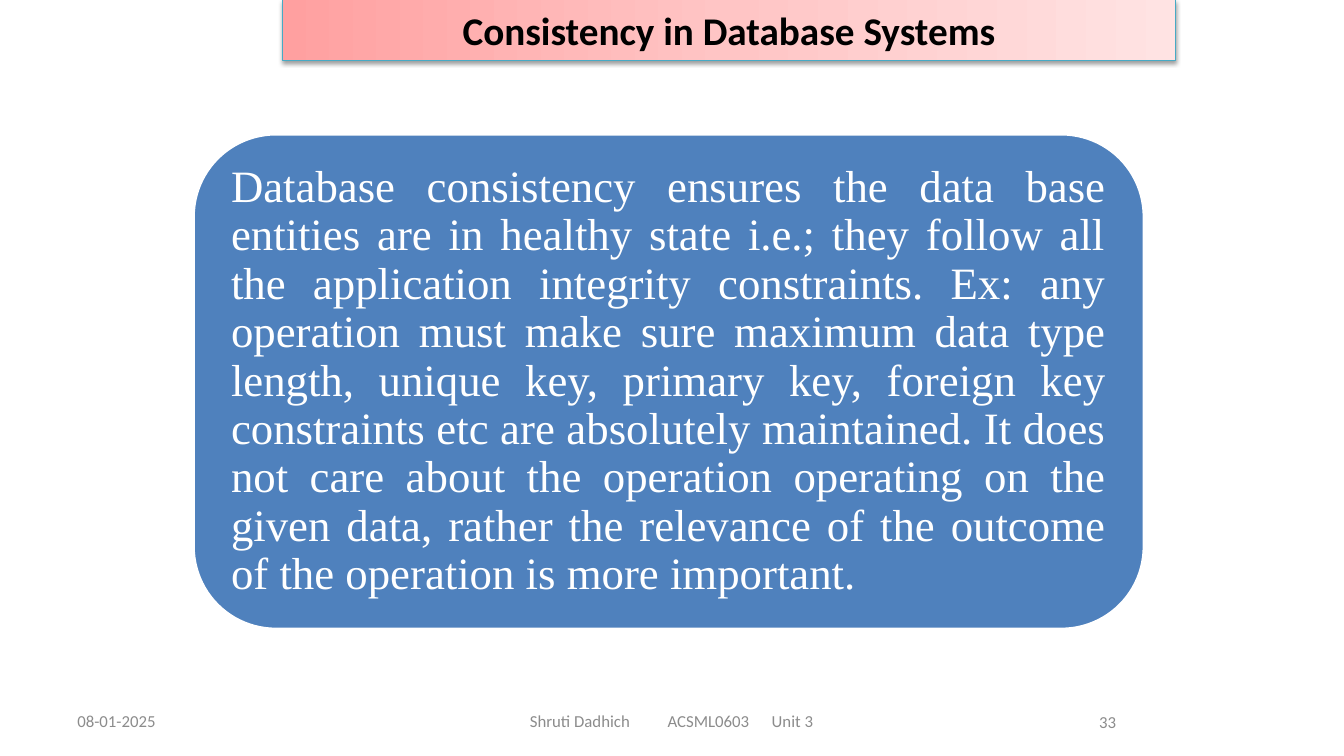
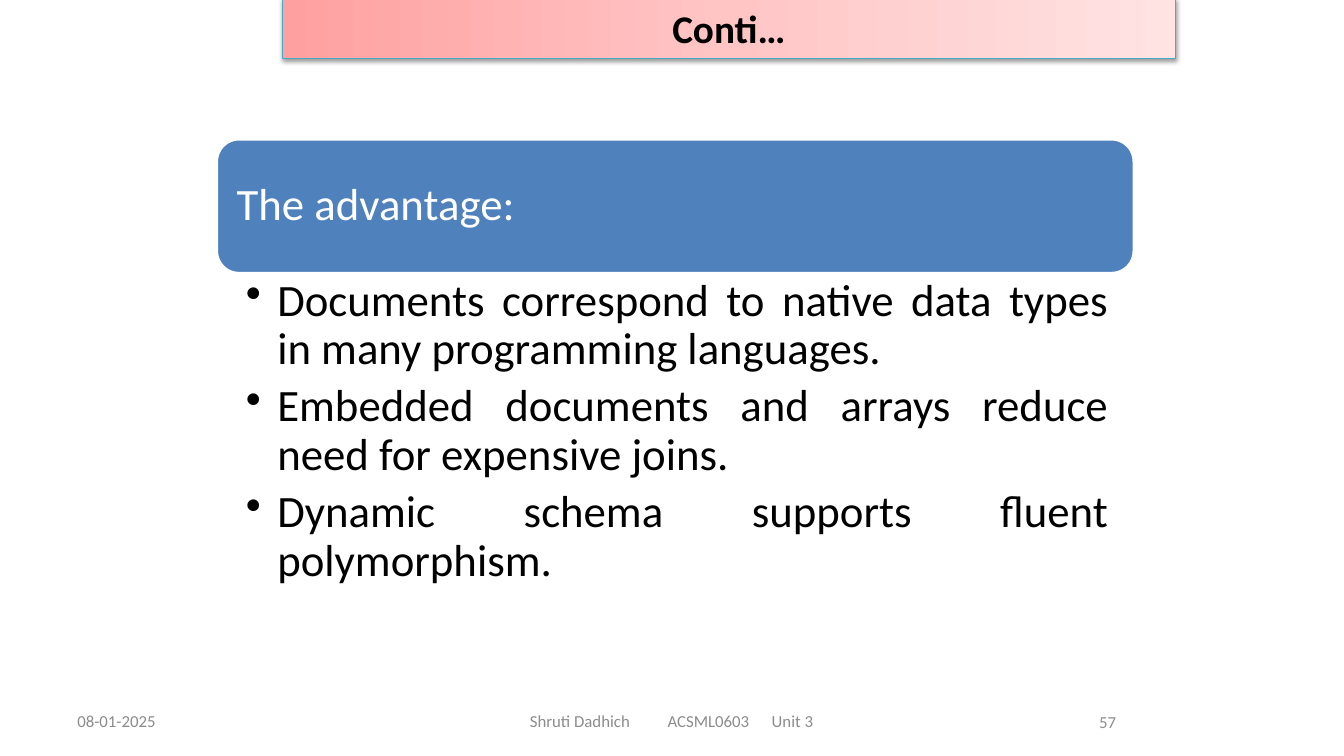
from typing import NamedTuple

from lxml import etree
from pptx import Presentation
from pptx.dml.color import RGBColor
from pptx.enum import shapes, text
from pptx.oxml import ns
from pptx.util import Pt

BLACK, WHITE, GREY = "000000", "FFFFFF", "8C8C8C"
BLUE, BAND_LINE = "4F81BD", "46AAC5"
BAND_STOPS = ((0, "FFA0A0"), (50, "FFC5C5"), (100, "FFE3E3"))
SANS, SERIF = "Calibri", "Times New Roman"
LEFT, CENTER = text.PP_ALIGN.LEFT, text.PP_ALIGN.CENTER
RIGHT, JUSTIFY = text.PP_ALIGN.RIGHT, text.PP_ALIGN.JUSTIFY
MIDDLE, TOP = text.MSO_ANCHOR.MIDDLE, text.MSO_ANCHOR.TOP


class Box(NamedTuple):
    left: float
    top: float
    width: float
    height: float


class Style(NamedTuple):
    size: float
    color: str
    align: text.PP_ALIGN
    font: str = SANS
    bold: bool = False
    line_spacing: float = 1.0
    space_before: float = 0


class FooterItem(NamedTuple):
    box: Box
    words: str
    align: text.PP_ALIGN
    tabs: tuple[float, ...] = ()


class Insets(NamedTuple):
    left: float = 7.2
    top: float = 3.6
    right: float = 7.2
    bottom: float = 3.6


TITLE = Style(28, BLACK, CENTER, bold=True)
PANEL_INSETS = Insets(9.6, 9.6, 9.6, 9.6)


def rgb(color: str) -> RGBColor:
    return RGBColor.from_string(color)


def points(box: Box) -> list[Pt]:
    return [Pt(length) for length in box]


def add_element(parent, tag: str, **attributes):
    element = etree.SubElement(parent, ns.qn(tag))
    for key, value in attributes.items():
        element.set(key, str(value))
    return element


def write(shape, paragraphs: list[str], style: Style, anchor=MIDDLE,
          insets: Insets = Insets(), tabs: tuple[float, ...] = (),
          bulleted: bool = False) -> None:
    frame = shape.text_frame
    frame.word_wrap = True
    frame.vertical_anchor = anchor
    frame.margin_left, frame.margin_top, frame.margin_right, frame.margin_bottom = points(insets)
    frame.text = "\n".join(paragraphs)
    for index, paragraph in enumerate(frame.paragraphs):
        paragraph.alignment = style.align
        paragraph.line_spacing = style.line_spacing
        if index:
            paragraph.space_before = Pt(style.space_before)
        properties = paragraph._p.get_or_add_pPr()
        if bulleted:
            properties.set("marL", str(Pt(22.5)))
            properties.set("indent", str(-Pt(22.5)))
            add_element(properties, "a:buChar", char="•")
        if tabs:
            stops = add_element(properties, "a:tabLst")
            for position in tabs:
                add_element(stops, "a:tab", pos=Pt(position), algn="l")
        for run in paragraph.runs:
            run.font.name = style.font
            run.font.size = Pt(style.size)
            run.font.bold = style.bold
            run.font.color.rgb = rgb(style.color)


def add_text(slide, box: Box, paragraphs: list[str], style: Style, **layout) -> None:
    write(slide.shapes.add_textbox(*points(box)), paragraphs, style, **layout)


def add_band(slide, title: str, top: float) -> None:
    """Draw the shaded title band with its gradient and soft shadow."""
    band = slide.shapes.add_shape(shapes.MSO_SHAPE.RECTANGLE,
                                  *points(Box(201.6, top, 638, 43.2)))
    band.fill.gradient()
    band.fill.gradient_angle = 0
    band.line.color.rgb = rgb(BAND_LINE)
    band.line.width = Pt(0.75)
    band.shadow.inherit = False
    properties = band._element.spPr
    stops = properties.find(".//" + ns.qn("a:gsLst"))
    for stop in list(stops):
        stops.remove(stop)
    for percent, color in BAND_STOPS:
        stop = add_element(stops, "a:gs", pos=percent * 1000)
        add_element(stop, "a:srgbClr", val=color)
    shadow = add_element(properties.find(ns.qn("a:effectLst")), "a:outerShdw",
                         blurRad=Pt(3.1), dist=Pt(1.6), dir=90 * 60000, rotWithShape=0)
    shade = add_element(shadow, "a:srgbClr", val=BLACK)
    add_element(shade, "a:alpha", val=38000)
    write(band, [title], TITLE)


def add_footer(slide, number: int) -> None:
    items = (
        FooterItem(Box(48.2, 500.4, 224, 28.8), "08-01-2025", LEFT),
        FooterItem(Box(371.4, 500.4, 260, 28.8),
                   "Shruti Dadhich\tACSML0603\tUnit 3", LEFT, (98.4, 172.8)),
        FooterItem(Box(636.5, 501.1, 167.8, 28.8), str(number), RIGHT),
    )
    for item in items:
        add_text(slide, item.box, [item.words], Style(12, GREY, item.align), tabs=item.tabs)


def add_panel(slide, box: Box, words: str, font: str) -> None:
    panel = slide.shapes.add_shape(shapes.MSO_SHAPE.ROUNDED_RECTANGLE, *points(box))
    panel.shadow.inherit = False
    panel.fill.solid()
    panel.fill.fore_color.rgb = rgb(BLUE)
    panel.line.color.rgb = rgb(WHITE)
    panel.line.width = Pt(2)
    write(panel, [words], Style(32, WHITE, JUSTIFY, font, line_spacing=0.9),
          insets=PANEL_INSETS)


def add_slide(deck, title: str, number: int, band_top: float = 0):
    slide = deck.slides.add_slide(deck.slide_layouts[6])
    add_band(slide, title, band_top)
    add_footer(slide, number)
    return slide


def main() -> None:
    deck = Presentation()
    deck.slide_width, deck.slide_height = Pt(960), Pt(540)

    consistency = add_slide(deck, "Consistency in Database Systems", 33)
    add_panel(
        consistency, Box(138.2, 95.8, 679, 353.5),
        "Database consistency ensures the data base entities are in healthy state i.e.; "
        "they follow all the application integrity constraints. Ex: any operation must make "
        "sure maximum data type length, unique key, primary key, foreign key constraints etc "
        "are absolutely maintained. It does not care about the operation operating on the "
        "given data, rather the relevance of the outcome of the operation is more important.",
        SERIF)

    advantages = add_slide(deck, "Conti…", 57, band_top=-1.4)
    add_panel(advantages, Box(154.8, 99.4, 655.2, 95.8), "The advantage:", SANS)
    add_text(
        advantages, Box(154.8, 195.2, 655.2, 233.3),
        ["Documents correspond to native data types in many programming languages.",
         "Embedded documents and arrays reduce need for expensive joins.",
         "Dynamic schema supports fluent polymorphism."],
        Style(32, BLACK, JUSTIFY, line_spacing=0.9, space_before=6.4),
        anchor=TOP, insets=Insets(20.8, 2.9, 18, 2.9), bulleted=True)

    deck.save("out.pptx")


if __name__ == "__main__":
    main()
